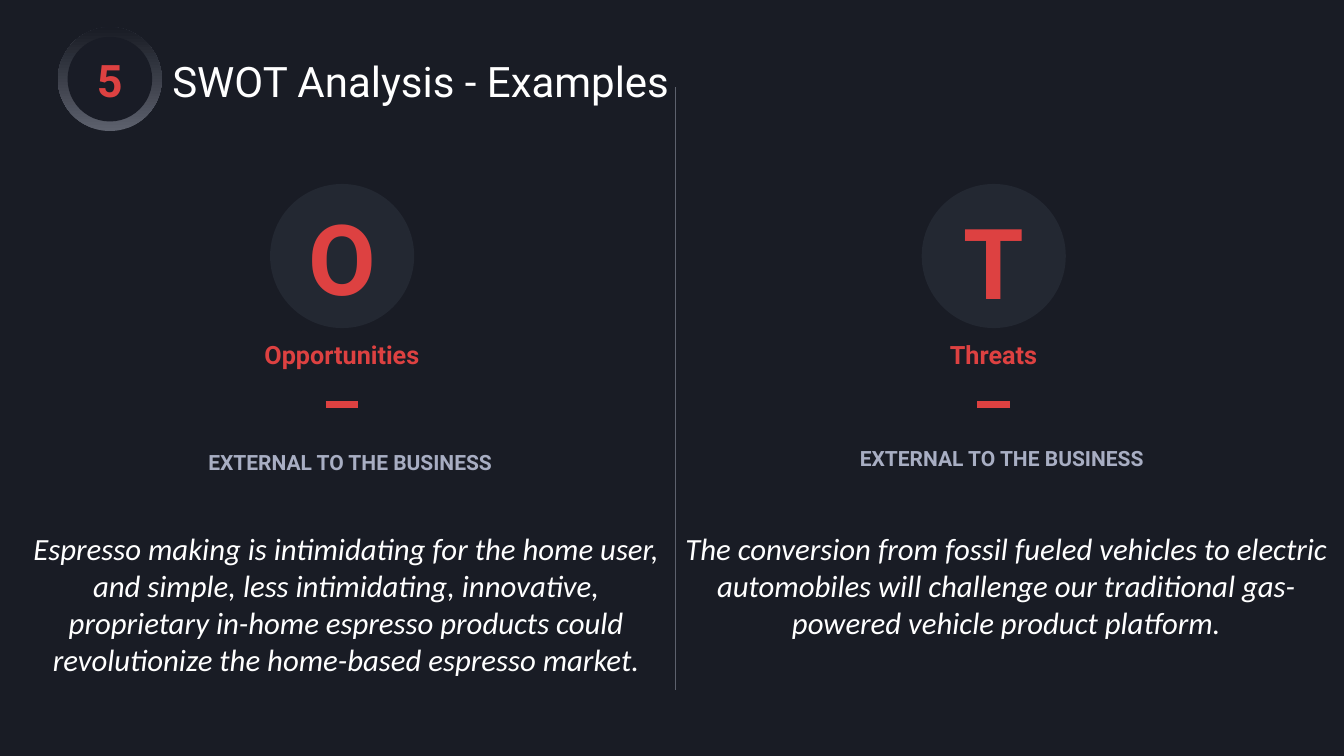
from pptx import Presentation
from pptx import util as u
from pptx.dml.color import RGBColor
from pptx.enum import shapes, text
from pptx.oxml.ns import qn
from lxml import etree

WIDE, HIGH = 26.67, 15
RED, WHITE, GREY, PALE = "DD4141", "FFFFFF", "5D616D", "A8AEC3"
BACK, DISC, CORE = "191C25", "232832", "191C26"

# Content: one entry per column
TITLE, NUMBER = "SWOT Analysis - Examples", "5"
SCOPE = "EXTERNAL TO THE BUSINESS"
PARTS = [
    dict(key="O", name="Opportunities", mid=6.79, key_top=3.91,
         scope_top=8.8, left=0.11, tall=3.06,
         body="Espresso making is intimidating for the home user, and simple, "
              "less intimidating, innovative, proprietary in-home espresso "
              "products could revolutionize the home-based espresso market."),
    dict(key="T", name="Threats", mid=19.72, key_top=3.99,
         scope_top=8.72, left=13.21, tall=2.32,
         body="The conversion from fossil fueled vehicles to electric "
              "automobiles will challenge our traditional gas-powered "
              "vehicle product platform."),
]

deck = Presentation()
deck.slide_width, deck.slide_height = u.Inches(WIDE), u.Inches(HIGH)
slide = deck.slides.add_slide(deck.slide_layouts[6])


def tint(code):
    return RGBColor.from_string(code)


def box(*sides):
    return [u.Inches(side) for side in sides]


def write(words, left, top, wide, tall, size=30, color=WHITE, font="Roboto",
          bold=False, italic=False, align="CENTER", anchor="MIDDLE",
          inset=(0, 0), indent=0, space=None):
    frame = slide.shapes.add_textbox(*box(left, top, wide, tall)).text_frame
    frame.word_wrap = True
    frame.vertical_anchor = text.MSO_ANCHOR[anchor]
    frame.margin_left = frame.margin_right = u.Inches(inset[0])
    frame.margin_top = frame.margin_bottom = u.Inches(inset[1])
    para = frame.paragraphs[0]
    para.alignment = text.PP_ALIGN[align]
    if space:
        para.line_spacing = space
    if indent:
        props = para._p.get_or_add_pPr()
        props.set("marL", str(u.Inches(indent)))
        props.set("indent", "0")
    run = para.add_run()
    run.text = words
    run.font.size, run.font.name = u.Pt(size), font
    run.font.bold, run.font.italic = bold, italic
    run.font.color.rgb = tint(color)


def disc(mid, top, size, color):
    item = slide.shapes.add_shape(shapes.MSO_SHAPE.OVAL,
                                  *box(mid - size / 2, top, size, size))
    item.shadow.inherit = False
    item.line.fill.background()
    item.fill.solid()
    item.fill.fore_color.rgb = tint(color)
    return item


def rule(x1, y1, x2, y2, color, width):
    item = slide.shapes.add_connector(shapes.MSO_CONNECTOR.STRAIGHT,
                                      *box(x1, y1, x2, y2))
    item.line.color.rgb = tint(color)
    item.line.width = u.Pt(width)
    etree.SubElement(item._element.spPr, qn("a:effectLst"))


# Background and divider
slide.background.fill.solid()
slide.background.fill.fore_color.rgb = tint(BACK)
rule(13.41, 1.73, 13.41, 13.7, GREY, 2)

# Numbered ring and title
ring = disc(2.18, 0.54, 2.06, GREY)
ring.fill.gradient()
ring.fill.gradient_angle = 90
for stop, color in zip(ring.fill.gradient_stops, (GREY, BACK)):
    stop.color.rgb = tint(color)
disc(2.18, 0.73, 1.68, CORE)
write(NUMBER, 1.65, 1.03, 1.06, 1.08, size=64, color=RED, bold=True)
write(TITLE, 3.42, 1.29, 10.03, 0.82, size=60, align="LEFT", space=0.8)

# Columns: lettered disc, name, dash, scope and example
for part in PARTS:
    mid = part["mid"]
    disc(mid, 3.65, 2.86, DISC)
    write(part["key"], mid - 0.8, part["key_top"], 1.6, 2.36,
          size=140, color=RED, bold=True)
    write(part["name"], mid - 2.93, 6.73, 5.85, 0.61,
          size=36, color=RED, bold=True)
    rule(mid - 0.33, 8.02, mid + 0.32, 8.02, RED, 10)
    write(SCOPE, mid - 3.06, part["scope_top"], 6.44, 0.73,
          color=PALE, bold=True)
    write(part["body"], part["left"], 10.47, 13.34, part["tall"], size=44,
          font="Calibri", italic=True, anchor="TOP", inset=(0.1, 0.05),
          indent=0.19)

deck.save("out.pptx")
